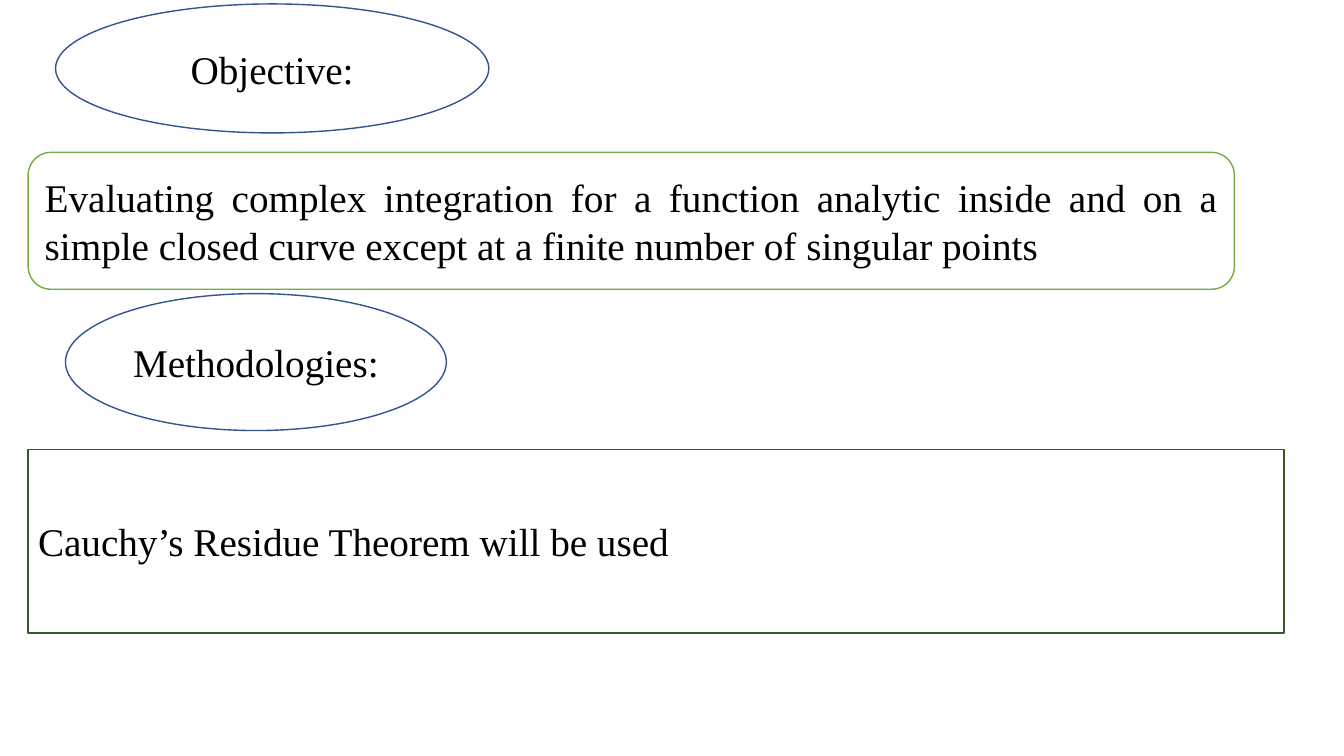
from dataclasses import dataclass

from pptx import Presentation
from pptx.dml.color import RGBColor
from pptx.enum.shapes import MSO_SHAPE
from pptx.enum.text import MSO_ANCHOR, PP_ALIGN
from pptx.util import Cm, Pt


@dataclass(frozen=True)
class Theme:
    font: str = "Times New Roman"
    size: int = 28
    width: int = 1
    ink: str = "000000"
    blue: str = "325491"
    green: str = "70AD47"
    dark: str = "385723"


class Board:
    def __init__(self, slide, theme):
        self.slide = slide
        self.theme = theme

    def shape(self, kind, box, text, line, align):
        item = self.slide.shapes.add_shape(kind, *map(Cm, box))
        item.shadow.inherit = False
        item.fill.background()
        item.line.color.rgb = RGBColor.from_string(line)
        item.line.width = Pt(self.theme.width)

        frame = item.text_frame
        frame.word_wrap = True
        frame.vertical_anchor = MSO_ANCHOR.MIDDLE
        para = frame.paragraphs[0]
        para.text = text
        para.alignment = align
        para.font.name = self.theme.font
        para.font.size = Pt(self.theme.size)
        para.font.color.rgb = RGBColor.from_string(self.theme.ink)

    def label(self, box, text):
        self.shape(MSO_SHAPE.OVAL, box, text, self.theme.blue, PP_ALIGN.CENTER)

    def panel(self, kind, box, text, line):
        self.shape(kind, box, text, line, PP_ALIGN.JUSTIFY)


def main():
    deck = Presentation()
    deck.slide_width = Cm(33.87)
    deck.slide_height = Cm(19.05)
    theme = Theme()
    board = Board(deck.slides.add_slide(deck.slide_layouts[6]), theme)
    left = 0.71

    # Objective
    board.panel(
        MSO_SHAPE.ROUNDED_RECTANGLE,
        (left, 3.84, 30.4, 3.45),
        "Evaluating complex integration for a function analytic inside "
        "and on a simple closed curve except at a finite number of "
        "singular points",
        theme.green,
    )

    # Headings
    board.label((1.65, 7.4, 9.6, 3.45), "Methodologies:")
    board.label((1.4, 0.1, 10.92, 3.25), "Objective:")

    # Method
    board.panel(
        MSO_SHAPE.RECTANGLE,
        (left, 11.33, 31.65, 4.62),
        "Cauchy’s Residue Theorem will be used",
        theme.dark,
    )

    deck.save("out.pptx")


if __name__ == "__main__":
    main()
